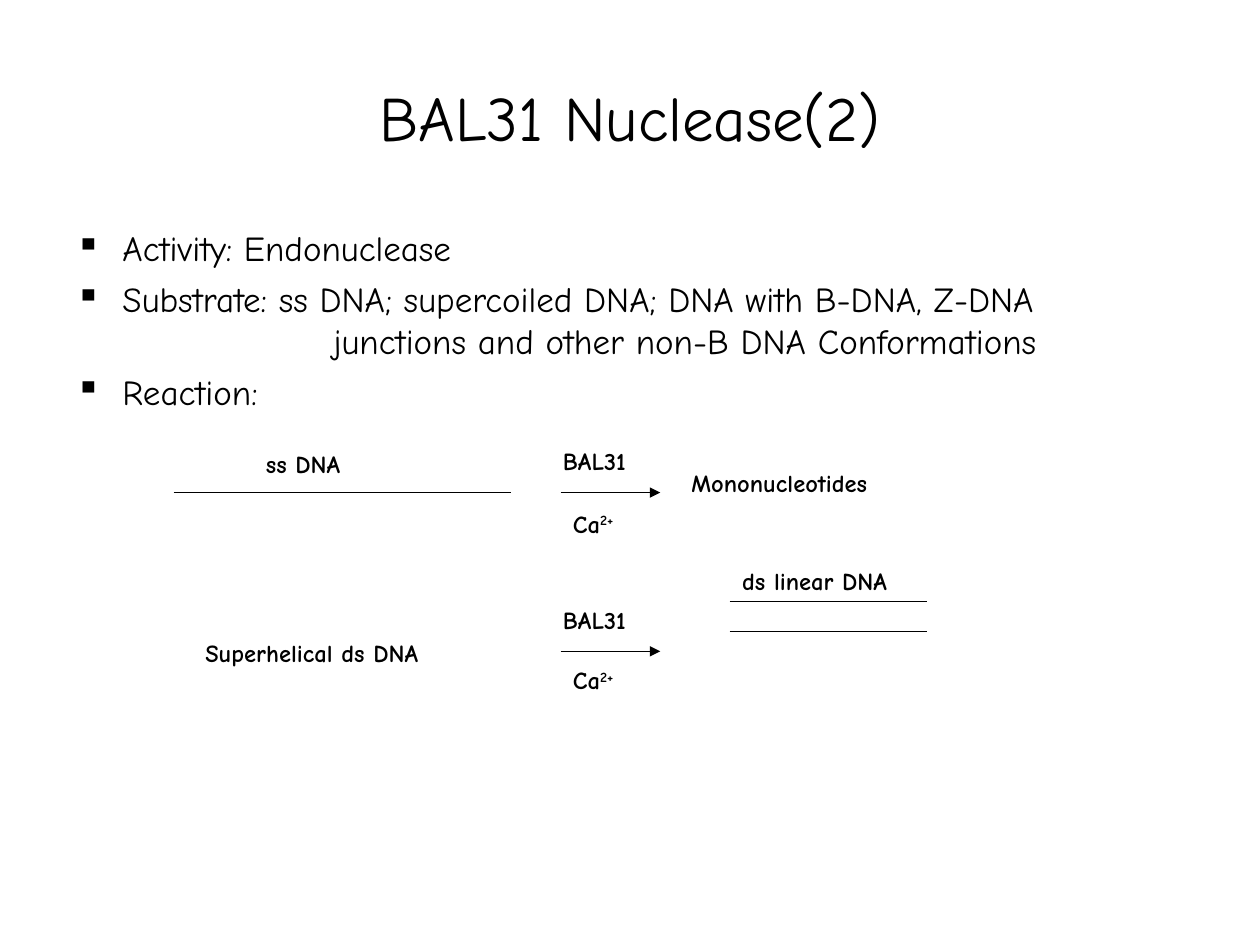
from dataclasses import dataclass

from lxml import etree
from pptx import Presentation
from pptx import util as u
from pptx.dml.color import RGBColor
from pptx.enum import shapes, text
from pptx.oxml import ns


@dataclass(frozen=True)
class Theme:
    font: str = "Comic Neue"
    ink: RGBColor = RGBColor(0, 0, 0)
    title: u.Pt = u.Pt(36)
    body: u.Pt = u.Pt(20)
    label: u.Pt = u.Pt(14)
    line: u.Pt = u.Pt(0.75)


@dataclass(frozen=True)
class Label:
    left: float
    top: float
    width: float
    words: str
    superscript: str = ""


@dataclass(frozen=True)
class Line:
    left: float
    right: float
    y: float
    arrow: bool = False


@dataclass(frozen=True)
class BodyLine:
    words: str
    margin: float = 0.95
    bullet: str = "▪"
    space_before: float = 5


THEME = Theme()
LABEL_HEIGHT = 0.86

BODY = [
    BodyLine("Activity: Endonuclease", space_before=0),
    BodyLine("Substrate: ss DNA; supercoiled DNA; DNA with B-DNA, Z-DNA"),
    BodyLine("junctions and other non-B DNA Conformations", 5.2, "", 0),
    BodyLine("Reaction:"),
]
STRANDS = [Line(3.5, 10.31, 9.93), Line(14.71, 18.69, 12.12), Line(14.71, 18.69, 12.73)]
LABELS = [
    Label(5.11, 8.92, 3.61, "ss DNA"),
    Label(13.69, 9.32, 6.6, "Mononucleotides"),
    Label(3.89, 12.73, 5.99, "Superhelical ds DNA"),
    Label(14.71, 11.28, 5.41, "ds linear DNA"),
]
# Height of each reaction arrow and of the cofactor label below it
REACTIONS = [(9.93, 10.13), (13.13, 13.28)]


def style(paragraph, size: u.Pt, bold: bool = False) -> None:
    font = paragraph.font
    font.name, font.size, font.bold = THEME.font, size, bold
    font.color.rgb = THEME.ink


def add_title(slide, words: str) -> None:
    title = slide.shapes.title
    title.left, title.top = u.Cm(1.27), u.Cm(0.76)
    title.width, title.height = u.Cm(22.86), u.Cm(3.18)
    title.text_frame.text = words
    title.text_frame.vertical_anchor = text.MSO_ANCHOR.MIDDLE
    paragraph = title.text_frame.paragraphs[0]
    paragraph.alignment = text.PP_ALIGN.CENTER
    style(paragraph, THEME.title)


def add_body(slide, lines: list[BodyLine]) -> None:
    box = slide.shapes.add_textbox(u.Cm(1.27), u.Cm(4.45), u.Cm(22.86), u.Cm(12.57))
    frame = box.text_frame
    frame.word_wrap = True
    for index, line in enumerate(lines):
        paragraph = frame.add_paragraph() if index else frame.paragraphs[0]
        paragraph.text = line.words
        paragraph.space_before = u.Pt(line.space_before)
        properties = paragraph._p.get_or_add_pPr()
        properties.set("marL", str(u.Cm(line.margin)))
        if line.bullet:
            properties.set("indent", str(-u.Cm(line.margin)))
            etree.SubElement(properties, ns.qn("a:buChar"), char=line.bullet)
        else:
            properties.set("indent", "0")
            etree.SubElement(properties, ns.qn("a:buNone"))
        style(paragraph, THEME.body)


def add_label(group, label: Label) -> None:
    box = group.shapes.add_textbox(
        u.Cm(label.left), u.Cm(label.top), u.Cm(label.width), u.Cm(LABEL_HEIGHT)
    )
    box.text_frame.word_wrap = True
    paragraph = box.text_frame.paragraphs[0]
    paragraph.add_run().text = label.words
    if label.superscript:
        run = paragraph.add_run()
        run.text = label.superscript
        run._r.get_or_add_rPr().set("baseline", "30000")
    style(paragraph, THEME.label, bold=True)


def add_line(group, line: Line) -> None:
    connector = group.shapes.add_connector(
        shapes.MSO_CONNECTOR.STRAIGHT,
        u.Cm(line.left), u.Cm(line.y), u.Cm(line.right), u.Cm(line.y),
    )
    connector.line.color.rgb = THEME.ink
    connector.line.width = THEME.line
    if line.arrow:
        outline = connector.line._get_or_add_ln()
        etree.SubElement(outline, ns.qn("a:tailEnd"), type="triangle")
    etree.SubElement(connector._element.spPr, ns.qn("a:effectLst"))


def add_reaction(group, arrow_y: float, cofactor_top: float) -> None:
    """Draw a reaction arrow with its enzyme above and its cofactor below."""
    add_line(group, Line(11.3, 13.31, arrow_y, arrow=True))
    add_label(group, Label(11.1, arrow_y - 1.06, 3.61, "BAL31"))
    add_label(group, Label(11.3, cofactor_top, 3.61, "Ca", "2+"))


def main() -> None:
    presentation = Presentation()
    presentation.slide_width, presentation.slide_height = u.Cm(25.4), u.Cm(19.05)
    slide = presentation.slides.add_slide(presentation.slide_layouts[5])
    add_title(slide, "BAL31 Nuclease(2)")
    add_body(slide, BODY)
    diagram = slide.shapes.add_group_shape()
    for strand in STRANDS:
        add_line(diagram, strand)
    for arrow_y, cofactor_top in REACTIONS:
        add_reaction(diagram, arrow_y, cofactor_top)
    for label in LABELS:
        add_label(diagram, label)
    presentation.save("out.pptx")


if __name__ == "__main__":
    main()
